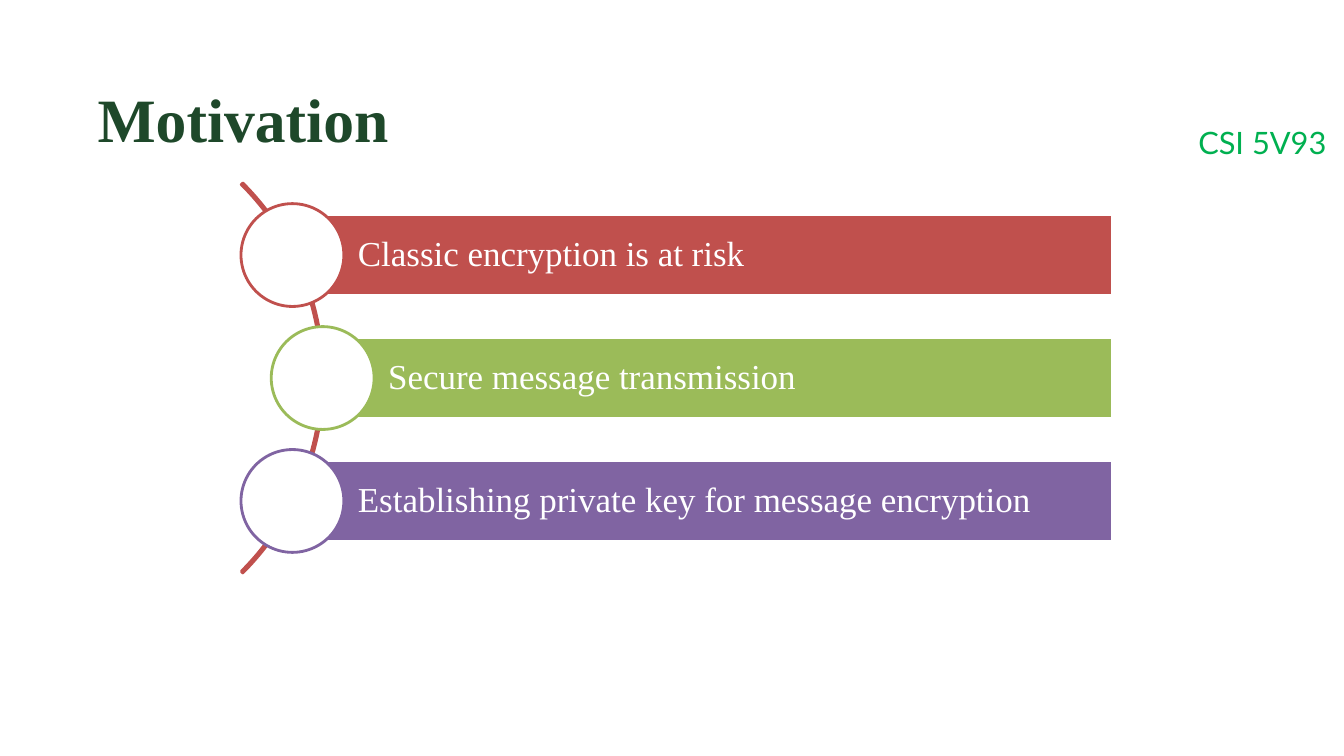
from dataclasses import dataclass

from pptx import Presentation
from pptx.dml.color import RGBColor
from pptx.enum.shapes import MSO_SHAPE as Preset
from pptx.enum.text import MSO_ANCHOR as Anchor, PP_ALIGN as Align
from pptx.shapes.autoshape import Shape
from pptx.text.text import TextFrame
from pptx.util import Inches, Pt

WHITE = RGBColor(0xFF, 0xFF, 0xFF)
RED = RGBColor(0xC0, 0x50, 0x4D)
OLIVE = RGBColor(0x9B, 0xBB, 0x59)
PURPLE = RGBColor(0x80, 0x64, 0xA2)
DARK_GREEN = RGBColor(0x1E, 0x48, 0x2A)
GREEN = RGBColor(0x00, 0xB0, 0x50)
SERIF = "Times New Roman"

BAR_RIGHT = 11.03
BAR_HEIGHT = 0.81
FIRST_CENTER_Y = 2.53
ROW_PITCH = 1.22
CIRCLE_SIZE = 1.02
ARC_SIZE = 5.47


@dataclass(frozen=True)
class Reason:
    text: str
    color: RGBColor
    center_x: float


REASONS = [
    Reason("Classic encryption is at risk", RED, 2.9),
    Reason("Secure message transmission", OLIVE, 3.2),
    Reason("Establishing private key for message encryption", PURPLE, 2.9),
]


def write(frame: TextFrame, text: str, color: RGBColor, size: float,
          font_name: str = SERIF, bold: bool = False,
          align: Align = Align.LEFT, spacing: float = 0.9) -> None:
    frame.word_wrap = True
    paragraph = frame.paragraphs[0]
    paragraph.alignment = align
    paragraph.line_spacing = spacing
    run = paragraph.add_run()
    run.text = text
    run.font.color.rgb = color
    formats = {"name": font_name, "size": Pt(size), "bold": bold}
    for attribute, value in formats.items():
        setattr(run.font, attribute, value)


def add_outlined(preset: Preset, left: float, top: float, width: float,
                 height: float, line: RGBColor,
                 fill: RGBColor | None = None) -> Shape:
    shape = slide.shapes.add_shape(
        preset, Inches(left), Inches(top), Inches(width), Inches(height))
    shape.shadow.inherit = False
    shape.line.color.rgb = line
    shape.line.width = Pt(2)
    if fill is None:
        shape.fill.background()
    else:
        shape.fill.solid()
        shape.fill.fore_color.rgb = fill
    return shape


def add_reason(reason: Reason, center_y: float) -> None:
    bar = add_outlined(
        Preset.RECTANGLE, reason.center_x, center_y - BAR_HEIGHT / 2,
        BAR_RIGHT - reason.center_x, BAR_HEIGHT, WHITE, reason.color)
    frame = bar.text_frame
    formats = {
        "vertical_anchor": Anchor.MIDDLE,
        "margin_left": Inches(0.65),
        "margin_top": Inches(0.07),
        "margin_right": Inches(0.07),
        "margin_bottom": Inches(0.07),
    }
    for attribute, value in formats.items():
        setattr(frame, attribute, value)
    write(frame, reason.text, WHITE, 25)
    add_outlined(
        Preset.OVAL, reason.center_x - CIRCLE_SIZE / 2,
        center_y - CIRCLE_SIZE / 2, CIRCLE_SIZE, CIRCLE_SIZE,
        reason.color, WHITE)


presentation = Presentation()
presentation.slide_width = Inches(13.33)
presentation.slide_height = Inches(7.5)
slide = presentation.slides.add_slide(presentation.slide_layouts[6])

course = slide.shapes.add_textbox(
    Inches(11.71), Inches(1.18), Inches(1.62), Inches(0.47))
write(course.text_frame, "CSI 5V93", GREEN, 22, "Lato",
      align=Align.CENTER, spacing=1.0)

title = slide.shapes.add_textbox(
    Inches(0.87), Inches(0.84), Inches(3.64), Inches(0.96))
write(title.text_frame, "Motivation", DARK_GREEN, 44, bold=True)

arc = add_outlined(
    Preset.BLOCK_ARC, -2.26, FIRST_CENTER_Y + ROW_PITCH - ARC_SIZE / 2,
    ARC_SIZE, ARC_SIZE, RED)
for index, adjustment in enumerate((189, 27, 0.004)):
    arc.adjustments[index] = adjustment

for row, reason in enumerate(REASONS):
    add_reason(reason, FIRST_CENTER_Y + row * ROW_PITCH)

presentation.save("out.pptx")
